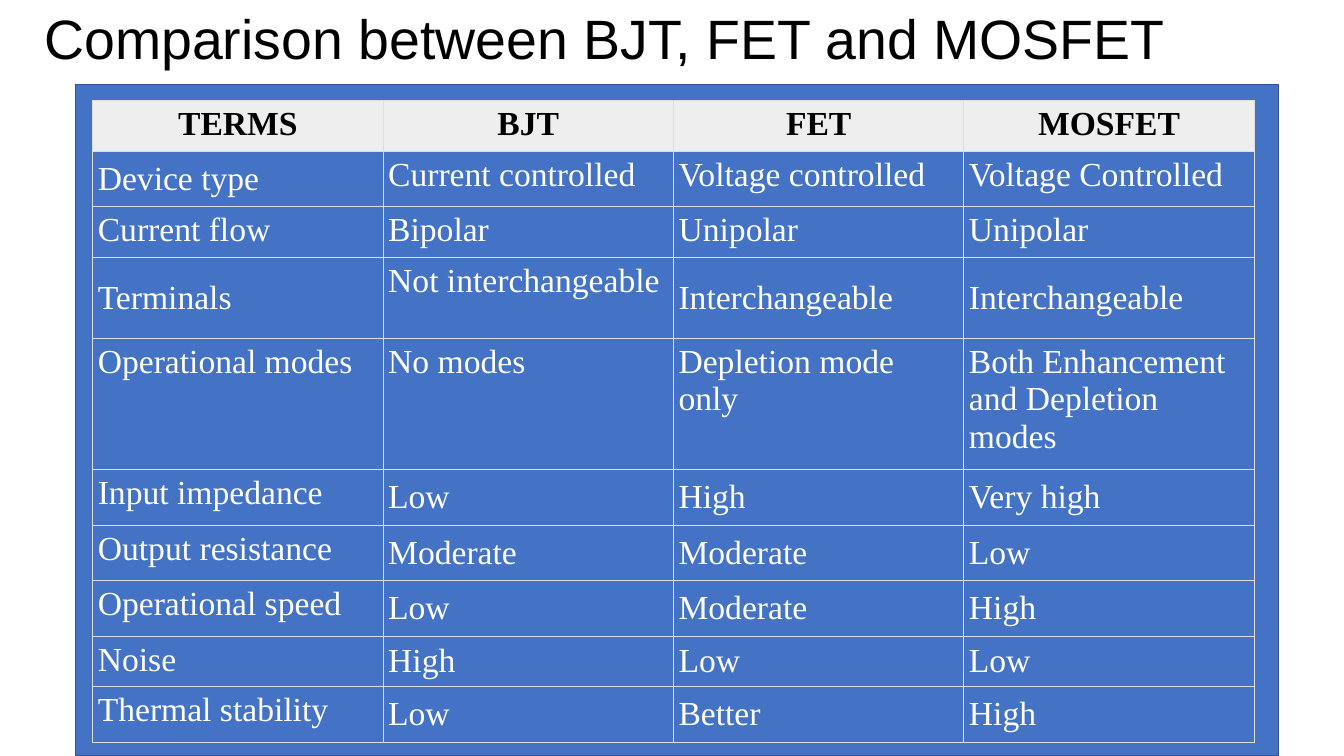
from dataclasses import dataclass

from lxml.etree import SubElement
from pptx import Presentation
from pptx.dml.color import RGBColor
from pptx.enum.shapes import MSO_SHAPE as SHAPE
from pptx.enum.text import MSO_ANCHOR as ANCHOR, PP_ALIGN as ALIGN
from pptx.oxml.ns import qn
from pptx.slide import Slide
from pptx.table import _Cell as Cell
from pptx.text.text import _Paragraph as Paragraph
from pptx.util import Inches, Pt

COLORS = {
    "panel": "4472C4",
    "outline": "31538F",
    "header": "EEEEEE",
    "border": "DDDDDD",
    "black": "000000",
    "white": "FFFFFF",
}
COL_WIDTH = 2.88
CELL_MARGIN = 0.05
BORDER_WIDTH = 0.75


@dataclass
class Row:
    height: float
    texts: tuple[str, str, str, str]
    middle: tuple[int, ...] = ()
    header: bool = False


VALUES = (1, 2, 3)
ROWS = [
    Row(0.45, ("TERMS", "BJT", "FET", "MOSFET"), header=True),
    Row(0.55, ("Device type", "Current controlled", "Voltage controlled",
               "Voltage Controlled"), (0,)),
    Row(0.45, ("Current flow", "Bipolar", "Unipolar", "Unipolar")),
    Row(0.81, ("Terminals", "Not interchangeable", "Interchangeable",
               "Interchangeable"), (0, 2, 3)),
    Row(1.2, ("Operational modes", "No modes", "Depletion mode only",
              "Both Enhancement and Depletion modes")),
    Row(0.55, ("Input impedance", "Low", "High", "Very high"), VALUES),
    Row(0.55, ("Output resistance", "Moderate", "Moderate", "Low"), VALUES),
    Row(0.55, ("Operational speed", "Low", "Moderate", "High"), VALUES),
    Row(0.45, ("Noise", "High", "Low", "Low"), VALUES),
    Row(0.55, ("Thermal stability", "Low", "Better", "High"), VALUES),
]


def rgb(name: str) -> RGBColor:
    return RGBColor.from_string(COLORS[name])


def style_text(p: Paragraph, font: str, size: float, color: str,
               bold: bool = False) -> None:
    for r in p.runs:
        r.font.name = font
        r.font.size = Pt(size)
        r.font.bold = bold
        r.font.color.rgb = rgb(color)


def add_panel(s: Slide) -> None:
    sp = s.shapes.add_shape(SHAPE.RECTANGLE, Inches(0.75), Inches(0.84),
                            Inches(11.93), Inches(6.66))
    sp.shadow.inherit = False
    sp.fill.solid()
    sp.fill.fore_color.rgb = rgb("panel")
    sp.line.color.rgb = rgb("outline")
    sp.line.width = Pt(1)


def add_title(s: Slide, text: str) -> None:
    sp = s.shapes.add_textbox(Inches(0.34), Inches(0.1),
                              Inches(12.65), Inches(0.63))
    tf = sp.text_frame
    tf.word_wrap = True
    tf.vertical_anchor = ANCHOR.MIDDLE
    tf.margin_top = tf.margin_bottom = 0
    tf.text = text
    p = tf.paragraphs[0]
    p.line_spacing = 0.9
    style_text(p, "Arial", 39.6, "black")


def set_borders(cell: Cell) -> None:
    tc_pr = cell._tc.get_or_add_tcPr()
    for side in ("a:lnL", "a:lnR", "a:lnT", "a:lnB"):
        ln = SubElement(tc_pr, qn(side), w=str(Pt(BORDER_WIDTH)))
        fill = SubElement(ln, qn("a:solidFill"))
        SubElement(fill, qn("a:srgbClr"), val=COLORS["border"])


def fill_cell(cell: Cell, text: str, header: bool, middle: bool) -> None:
    cell.margin_left = cell.margin_right = Inches(CELL_MARGIN)
    cell.margin_top = cell.margin_bottom = Inches(CELL_MARGIN)
    cell.vertical_anchor = ANCHOR.MIDDLE if middle else ANCHOR.TOP
    set_borders(cell)
    if header:
        cell.fill.solid()
        cell.fill.fore_color.rgb = rgb("header")
    else:
        cell.fill.background()
    cell.text_frame.text = text
    p = cell.text_frame.paragraphs[0]
    p.alignment = ALIGN.CENTER if header else ALIGN.LEFT
    style_text(p, "Times New Roman", 24, "black" if header else "white", header)


def add_comparison(s: Slide, rows: list[Row]) -> None:
    n_cols = len(rows[0].texts)
    frame = s.shapes.add_table(
        len(rows), n_cols, Inches(0.92), Inches(1),
        Inches(COL_WIDTH * n_cols), Inches(sum(row.height for row in rows)))
    table = frame.table
    table.horz_banding = False
    table.first_row = False
    for col in table.columns:
        col.width = Inches(COL_WIDTH)
    for i, row in enumerate(rows):
        table.rows[i].height = Inches(row.height)
        for j, text in enumerate(row.texts):
            fill_cell(table.cell(i, j), text, row.header, j in row.middle)


def main() -> None:
    prs = Presentation()
    prs.slide_width = Inches(13.33)
    prs.slide_height = Inches(7.5)
    s = prs.slides.add_slide(prs.slide_layouts[6])
    add_panel(s)
    add_title(s, "Comparison between BJT, FET and MOSFET")
    add_comparison(s, ROWS)
    prs.save("out.pptx")


if __name__ == "__main__":
    main()
